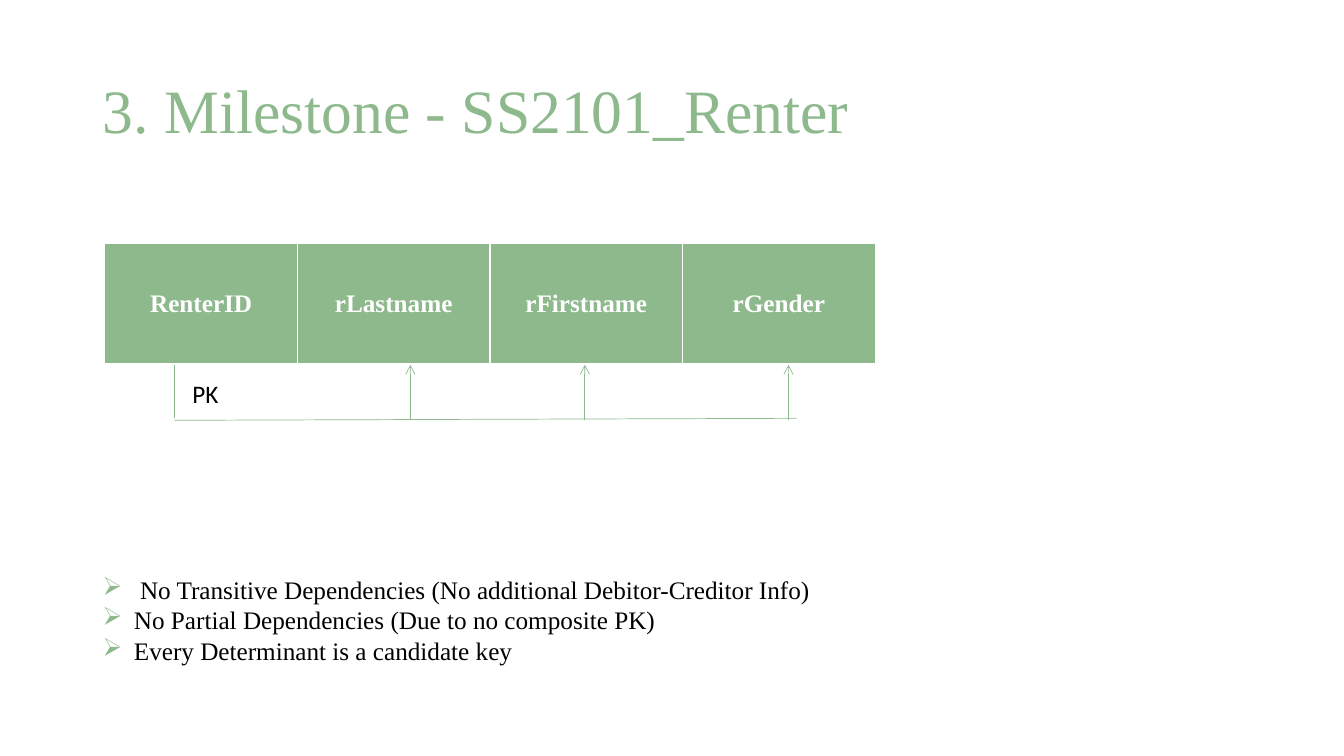
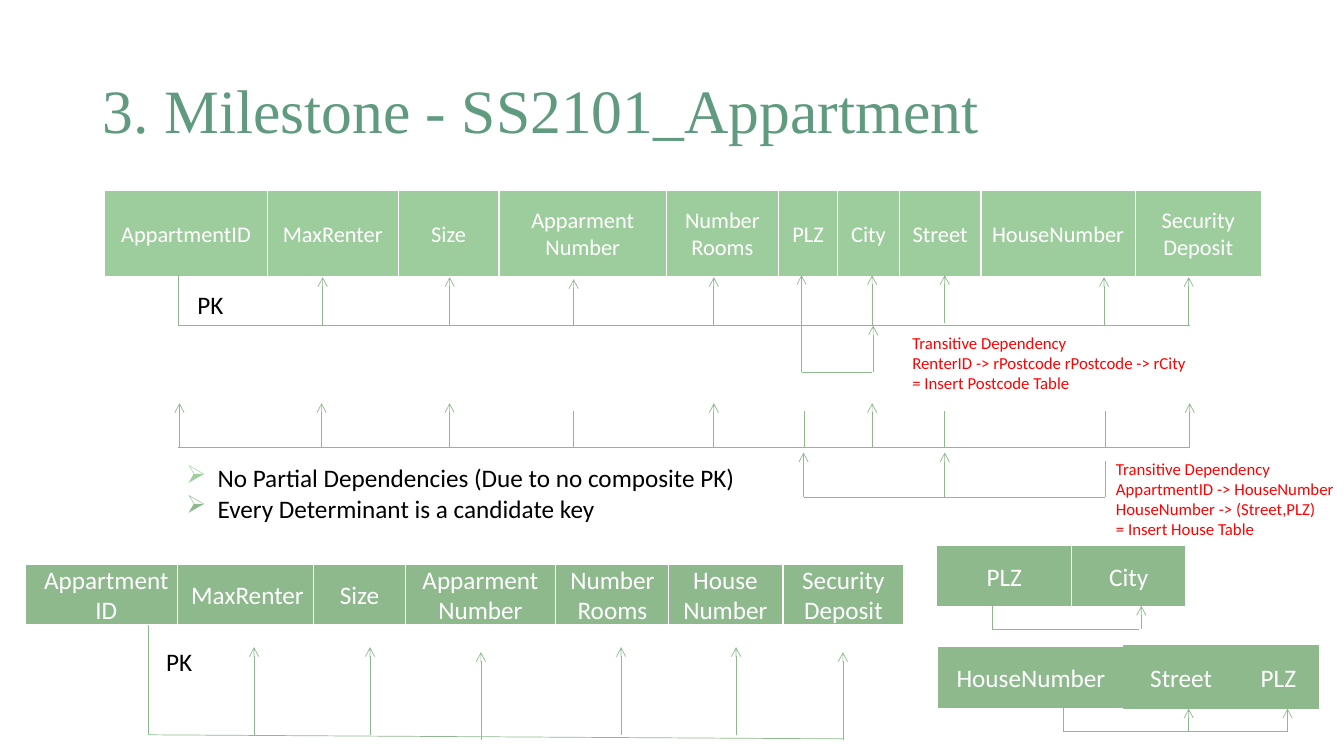
from dataclasses import dataclass
from typing import NamedTuple, Optional

from lxml.etree import SubElement
from pptx import Presentation
from pptx.dml.color import RGBColor
from pptx.enum.shapes import MSO_CONNECTOR as Connector, MSO_SHAPE as Preset
from pptx.enum.text import MSO_ANCHOR as Anchor, PP_ALIGN as Align
from pptx.oxml import parse_xml
from pptx.oxml.ns import nsdecls, qn
from pptx.util import Inches, Pt


@dataclass(frozen=True)
class Theme:
    green: str = "8EB98D"
    light_green: str = "9ECD9D"
    dark_green: str = "609B7F"
    red: str = "FF0000"
    black: str = "000000"
    white: str = "FFFFFF"
    serif: str = "Times New Roman"
    sans: str = "Calibri"
    title_size: int = 44
    body_size: int = 18
    column_size: int = 16
    note_size: int = 12
    connector_width: float = 0.5
    border_width: float = 1
    bottom_border_width: float = 3


THEME = Theme()


class Area(NamedTuple):
    left: float
    top: float
    width: float
    height: float

    def lengths(self) -> list:
        return [Inches(value) for value in self]


class Arrows(NamedTuple):
    """Upward arrows sharing a tip height; they start on the rail unless base is given."""
    tip: float
    positions: tuple
    base: Optional[float] = None


@dataclass(frozen=True)
class Dependency:
    """A rail from left to right, plain stems down to it and arrows up from it."""
    left: float
    right: float
    rail: float
    stem_top: float
    stems: tuple
    arrows: tuple
    rail_end: Optional[float] = None
    stem_bottom: Optional[float] = None


class Bullet(NamedTuple):
    text: str
    color: str = THEME.green
    indent: float = 0.31


class Box(NamedTuple):
    text: str
    left: float
    width: float
    outline: str = THEME.white


class BoxRow(NamedTuple):
    top: float
    height: float
    boxes: tuple


def color_of(value: str) -> RGBColor:
    return RGBColor.from_string(value)


def format_paragraph(paragraph, text: str, *, size: float, font: str = THEME.sans,
                     color: str = THEME.black, bold: bool = False,
                     align=Align.LEFT, spacing: float = 1.0) -> None:
    run = paragraph.add_run()
    run.text = text
    run.font.size = Pt(size)
    run.font.name = font
    run.font.bold = bold
    run.font.color.rgb = color_of(color)
    paragraph.alignment = align
    paragraph.line_spacing = spacing


def write_text(frame, text: str, **style) -> None:
    """Write one paragraph for each line of the text."""
    for index, line in enumerate(text.split("\n")):
        paragraph = frame.add_paragraph() if index else frame.paragraphs[0]
        format_paragraph(paragraph, line, **style)


def add_text(slide, area: Area, text: str, *, anchor=Anchor.TOP, **style):
    frame = slide.shapes.add_textbox(*area.lengths()).text_frame
    frame.word_wrap = True
    frame.vertical_anchor = anchor
    write_text(frame, text, **style)
    return frame


def add_title(slide, text: str, color: str) -> None:
    add_text(slide, Area(0.92, 0.4, 11.5, 1.45), text, anchor=Anchor.MIDDLE,
             size=THEME.title_size, font=THEME.serif, color=color, spacing=0.9)


def add_key_label(slide, left: float, top: float) -> None:
    add_text(slide, Area(left, top, 0.52, 0.4), "PK", size=THEME.body_size)


def add_bullets(slide, area: Area, bullets: tuple, font: str) -> None:
    lines = "\n".join(bullet.text for bullet in bullets)
    frame = add_text(slide, area, lines, size=THEME.body_size, font=font)
    for paragraph, bullet in zip(frame.paragraphs, bullets):
        properties = paragraph._p.get_or_add_pPr()
        properties.set("marL", str(Inches(bullet.indent)))
        properties.set("indent", str(-Inches(bullet.indent)))
        bullet_color = SubElement(properties, qn("a:buClr"))
        SubElement(bullet_color, qn("a:srgbClr")).set("val", bullet.color)
        SubElement(properties, qn("a:buChar")).set("char", "➢")


def set_borders(cell) -> None:
    properties = cell._tc.get_or_add_tcPr()
    for index, side in enumerate(("lnL", "lnR", "lnT", "lnB")):
        width = THEME.bottom_border_width if side == "lnB" else THEME.border_width
        properties.insert(index, parse_xml(
            f'<a:{side} {nsdecls("a")} w="{Pt(width)}"><a:solidFill>'
            f'<a:srgbClr val="{THEME.white}"/></a:solidFill></a:{side}>'))


def add_header_table(slide, left: float, top: float, height: float,
                     columns: tuple, fill: str, **style) -> None:
    """Draw a one-row table from (name, width) columns."""
    area = Area(left, top, sum(width for _, width in columns), height)
    table = slide.shapes.add_table(1, len(columns), *area.lengths()).table
    for index, (name, width) in enumerate(columns):
        table.columns[index].width = Inches(width)
        cell = table.cell(0, index)
        cell.fill.solid()
        cell.fill.fore_color.rgb = color_of(fill)
        cell.vertical_anchor = Anchor.MIDDLE
        set_borders(cell)
        write_text(cell.text_frame, name, color=THEME.white,
                   align=Align.CENTER, **style)


def add_line(slide, start: tuple, end: tuple, arrow: bool = False) -> None:
    points = [Inches(value) for value in (*start, *end)]
    connector = slide.shapes.add_connector(Connector.STRAIGHT, *points)
    connector.line.color.rgb = color_of(THEME.green)
    connector.line.width = Pt(THEME.connector_width)
    if arrow:
        outline = connector.line._get_or_add_ln()
        SubElement(outline, qn("a:tailEnd")).set("type", "arrow")
    SubElement(connector._element.spPr, qn("a:effectLst"))


def add_dependency(slide, dependency: Dependency) -> None:
    rail = dependency.rail
    add_line(slide, (dependency.left, rail),
             (dependency.right, dependency.rail_end or rail))
    for x in dependency.stems:
        add_line(slide, (x, dependency.stem_top), (x, dependency.stem_bottom or rail))
    for group in dependency.arrows:
        for x in group.positions:
            add_line(slide, (x, group.base or rail), (x, group.tip), arrow=True)


def add_box_row(slide, row: BoxRow) -> None:
    for box in row.boxes:
        area = Area(box.left, row.top, box.width, row.height)
        shape = slide.shapes.add_shape(Preset.RECTANGLE, *area.lengths())
        shape.shadow.inherit = False
        shape.fill.solid()
        shape.fill.fore_color.rgb = color_of(THEME.green)
        shape.line.color.rgb = color_of(box.outline)
        shape.line.width = Pt(THEME.border_width)
        shape.text_frame.word_wrap = True
        shape.text_frame.vertical_anchor = Anchor.MIDDLE
        write_text(shape.text_frame, box.text, size=THEME.body_size,
                   color=THEME.white, align=Align.CENTER)


RENTER_COLUMNS = tuple((name, 1.91) for name in
                       ("RenterID", "rLastname", "rFirstname", "rGender"))
RENTER_DEPENDENCY = Dependency(1.73, 7.9, 4.17, 3.62, (1.73,),
                               (Arrows(3.62, (4.07, 5.8, 7.82)),),
                               rail_end=4.15, stem_bottom=4.15)
KEY_BULLETS = ("No Partial Dependencies (Due to no composite PK)",
               "Every Determinant is a candidate key")

APARTMENT_COLUMNS = (
    ("AppartmentID", 1.61), ("MaxRenter", 1.3), ("Size", 1),
    ("Apparment\nNumber", 1.66), ("Number\nRooms", 1.11), ("PLZ", 0.59),
    ("City", 0.61), ("Street", 0.81), ("HouseNumber", 1.53),
    ("Security Deposit", 1.25),
)
APARTMENT_DEPENDENCIES = (
    Dependency(1.77, 11.8, 3.23, 2.73, (1.77,), (
        Arrows(2.75, (3.2, 4.46, 7.08, 10.95, 11.79)),
        Arrows(2.77, (5.69,)),
        Arrows(2.73, (7.95, 8.65)),
        Arrows(2.73, (9.37,), base=3.2))),
    Dependency(7.95, 8.65, 3.69, 3.23, (7.95,), (Arrows(3.23, (8.66,)),)),
    Dependency(1.77, 11.8, 4.44, 4.08, (5.69, 7.98, 9.37, 10.96),
               (Arrows(4, (1.78, 3.19, 4.46, 7.08, 8.65, 11.8)),)),
    Dependency(7.97, 10.96, 4.93, 4.57, (10.96,), (Arrows(4.49, (7.97, 9.37)),)),
    Dependency(9.84, 11.3, 6.24, 6.01, (9.84,), (Arrows(6.01, (11.32,)),)),
    Dependency(1.47, 8.36, 7.29, 6.2, (1.47,), (
        Arrows(6.42, (2.52, 3.67, 6.16, 7.3)),
        Arrows(6.47, (4.77, 8.36), base=7.34)), rail_end=7.33),
    Dependency(10.55, 12.77, 7.26, 7.02, (10.55,), (Arrows(7.03, (11.79, 12.77)),)),
)
SPLIT_TABLES = (
    BoxRow(5.41, 0.61, (Box("PLZ", 9.29, 1.34), Box("City", 10.63, 1.13))),
    BoxRow(5.6, 0.6, (
        Box("Appartment\nID", 0.25, 1.61), Box("MaxRenter", 1.76, 1.39),
        Box("Size", 3.11, 0.91), Box("Apparment\nNumber", 4.02, 1.49),
        Box("Number\nRooms", 5.51, 1.13), Box("House\nNumber", 6.63, 1.13),
        Box("Security Deposit", 7.77, 1.19))),
    BoxRow(6.41, 0.62, (
        Box("HouseNumber", 9.3, 1.85), Box("Street", 11.15, 1.13, THEME.green),
        Box("PLZ", 12.28, 0.8, THEME.green))),
)
TRANSITIVE_NOTES = (
    (Area(8.95, 3.25, 2.94, 0.71),
     "Transitive Dependency\nRenterID -> rPostcode rPostcode -> rCity\n"
     "= Insert Postcode Table"),
    (Area(10.97, 4.5, 2.37, 0.91),
     "Transitive Dependency\nAppartmentID -> HouseNumber\n"
     "HouseNumber -> (Street,PLZ)\n= Insert House Table"),
)


def build_renter_slide(slide) -> None:
    add_title(slide, "3. Milestone - SS2101_Renter", THEME.green)
    add_header_table(slide, 1.04, 2.41, 1.21, RENTER_COLUMNS, THEME.green,
                     size=THEME.body_size, font=THEME.serif, bold=True)
    add_dependency(slide, RENTER_DEPENDENCY)
    add_key_label(slide, 1.81, 3.7)
    transitive = Bullet("No Transitive Dependencies (No additional Debitor-Creditor Info)",
                        indent=0.37)
    add_bullets(slide, Area(0.92, 5.65, 7.52, 1.01),
                (transitive, *map(Bullet, KEY_BULLETS)), THEME.serif)


def build_apartment_slide(slide) -> None:
    add_title(slide, "3. Milestone - SS2101_Appartment", THEME.dark_green)
    add_header_table(slide, 1.04, 1.89, 0.87, APARTMENT_COLUMNS,
                     THEME.light_green, size=THEME.column_size)
    for row in SPLIT_TABLES:
        add_box_row(slide, row)
    for dependency in APARTMENT_DEPENDENCIES:
        add_dependency(slide, dependency)
    add_key_label(slide, 1.86, 2.82)
    add_key_label(slide, 1.55, 6.36)
    for area, note in TRANSITIVE_NOTES:
        add_text(slide, area, note, size=THEME.note_size, color=THEME.red)
    bullets = map(Bullet, KEY_BULLETS, (THEME.light_green, THEME.green))
    add_bullets(slide, Area(1.75, 4.54, 5.67, 0.71), tuple(bullets), THEME.sans)


def main() -> None:
    presentation = Presentation()
    presentation.slide_width = Inches(13.33)
    presentation.slide_height = Inches(7.5)
    blank = presentation.slide_layouts[6]
    for build in (build_renter_slide, build_apartment_slide):
        build(presentation.slides.add_slide(blank))
    presentation.save("out.pptx")


if __name__ == "__main__":
    main()
